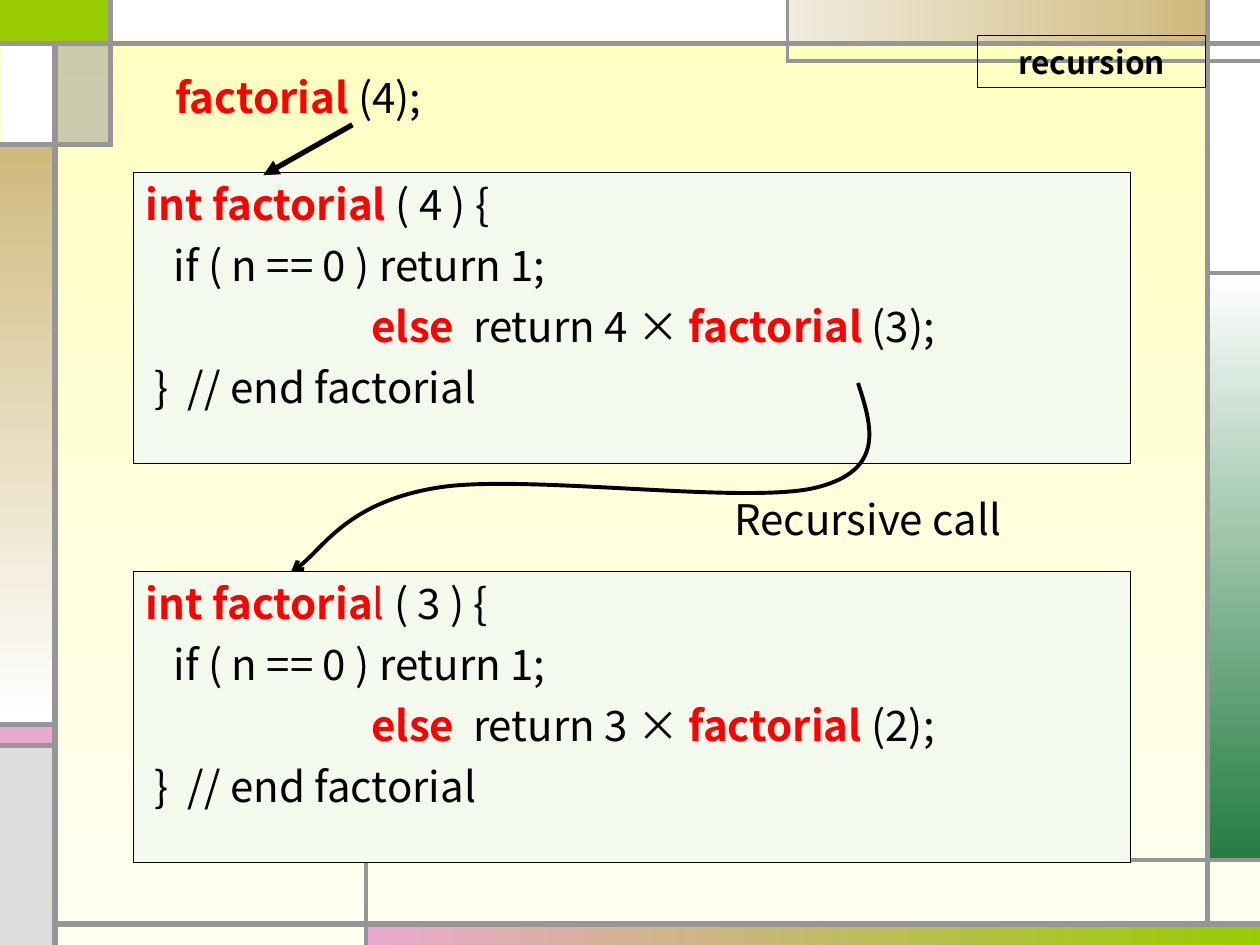
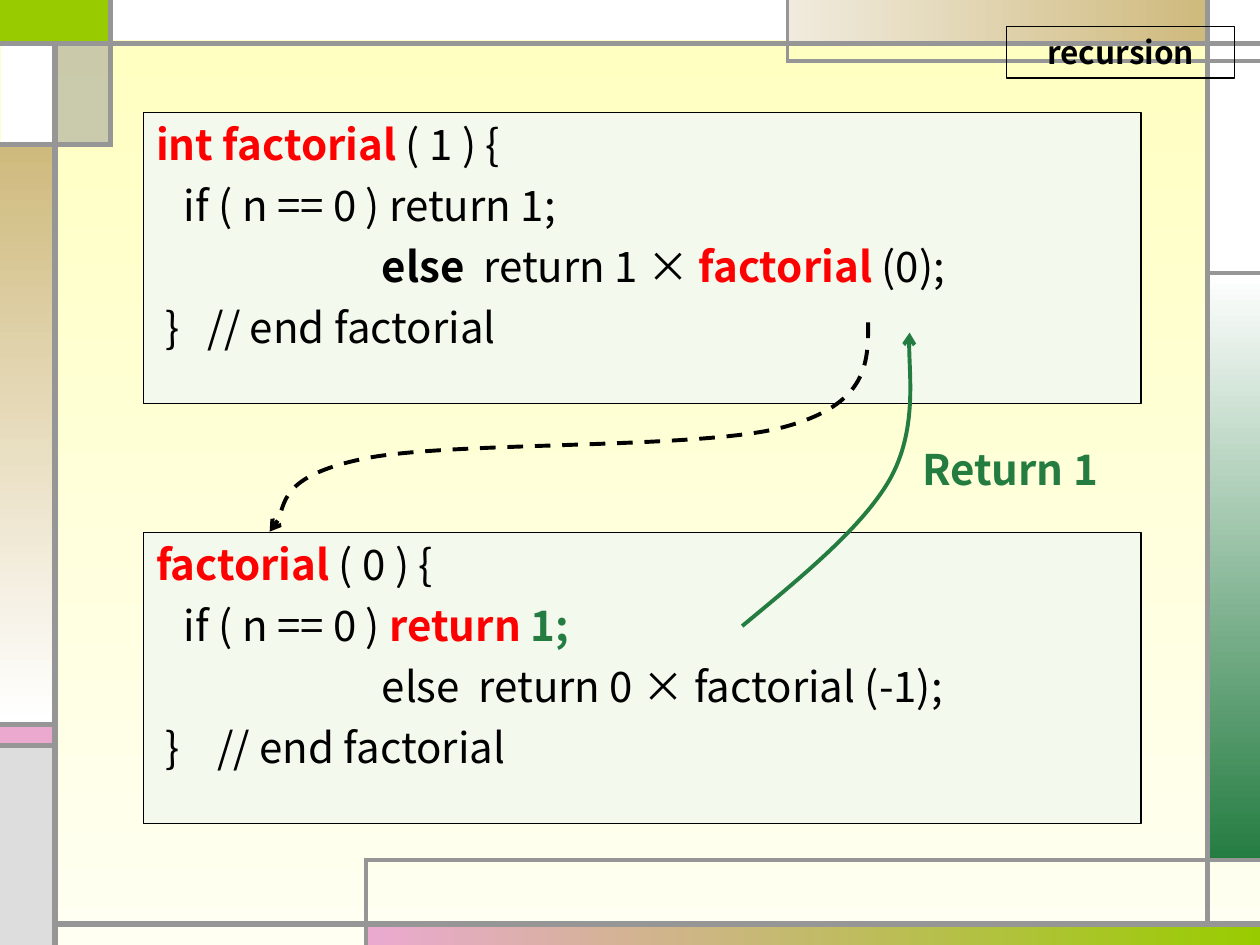
from pptx import Presentation
from pptx import util as u
from pptx.dml.color import RGBColor
from pptx.enum import dml, shapes, text
from pptx.oxml import parse_xml
from pptx.oxml.ns import nsdecls, qn

Pt = u.Pt
FONT = "Noto Sans CJK KR"
BLACK = RGBColor(0, 0, 0)
WHITE = RGBColor(255, 255, 255)
RED = RGBColor(255, 0, 0)
GREEN = RGBColor(0x24, 0x7C, 0x41)
LIME = RGBColor(0x99, 0xCC, 0)
PINK = RGBColor(0xEB, 0xA9, 0xD0)
TAN = RGBColor(0xCF, 0xBA, 0x7D)
PALE_TAN = RGBColor(0xF0, 0xEB, 0xDE)
SILVER = RGBColor(0xDD, 0xDD, 0xDD)
GREY = RGBColor(0x96, 0x96, 0x96)
CODE_FILL = RGBColor(0xF4, 0xF9, 0xEE)
PAGE = (RGBColor(0xFF, 0xFF, 0xBF), RGBColor(0xFF, 0xFF, 0xF2))

# Run styles: colour, bold
PLAIN, BOLD, KEY, NOTE = (BLACK, False), (BLACK, True), (RED, True), (GREEN, True)
THIN_KEY = (RED, False)

# Indents of the four code lines
INDENTS = (0, 16, 129, 5.3)
BOX_SIZE = (570, 166.3)
TAG_SIZE = (130.3, 29.5)

# Frame panels: left, top, width, height, fill (colour, or two colours and an angle)
PANELS = [
    (0, 0, 62.5, 24.5, LIME),
    (210, 528, 510, 12, (PINK, LIME, 0)),
    (690, 156, 30, 336, (WHITE, GREEN, 270)),
    (0, 414, 30, 12.5, PINK),
    (0, 427, 30, 113, SILVER),
    (690, 0, 30, 156, WHITE),
    (450, 0, 240, 24, (PALE_TAN, TAN, 0)),
    (33, 24, 30, 59, GREY),
    (0, 83, 30, 330, (TAN, WHITE, 270)),
    (0.5, 24, 30, 59, WHITE),
    (62, 0, 388, 23, WHITE),
]
TRANSLUCENT = 7  # index of the half-transparent panel

# Frame rules: x1, y1, x2, y2, width
RULES = [
    (31.5, 540, 31.5, 24, 3), (31.5, 528, 720, 528, 3),
    (690, 528, 690, 0, 3), (0, 25, 720, 25, 3),
    (720, 34.75, 450, 34.75, 2.25), (450, 36, 450, 0, 2.25),
    (690, 156, 720, 156, 2.25), (63.25, 0, 63.25, 84, 3),
    (62, 82.5, 0, 82.5, 3), (209, 540, 209, 491, 2.25),
    (208, 491.5, 720, 491.5, 2.25), (33, 414, 0, 414, 3),
    (33, 426, 0, 426, 3),
]

SLIDES = [
    {
        "tag": (558.6, 20.4),
        "boxes": [
            (76.2, 98.6, [
                [("int factorial", KEY), (" ( 4 ) {", PLAIN)],
                [("if ( n == 0 ) return 1;", PLAIN)],
                [("else  ", KEY), ("return 4 × ", PLAIN),
                 ("factorial", KEY), (" (3);", PLAIN)],
                [("}  // end factorial", PLAIN)]]),
            (76.2, 326.6, [
                [("int factoria", KEY), ("l", THIN_KEY), (" ( 3 ) {", PLAIN)],
                [("if ( n == 0 ) return 1;", PLAIN)],
                [("else", KEY), ("  return 3 × ", PLAIN),
                 ("factorial", KEY), (" (2);", PLAIN)],
                [("}  // end factorial", PLAIN)]]),
        ],
        "labels": [
            (412.6, 278.6, 216, 0, [("Recursive call", PLAIN)]),
            (87.8, 37.4, 414, 5.3, [("factorial", KEY), (" (4);", PLAIN)]),
        ],
        "curves": [
            (BLACK, False, [
                (490.3, 218.9), (498.2, 243.4), (506.2, 268.6), (466.6, 278.6),
                (426.2, 288.7), (300.2, 270.7), (250.6, 278.6),
                (200.2, 286.6), (180.7, 319), (166.3, 326.9)]),
        ],
        "arrows": [(201.4, 71.3, 150.5, 100.1)],
    },
    {
        "tag": (575.3, 15.1),
        "boxes": [
            (82.1, 64.1, [
                [("int factorial", KEY), (" ( 1 ) {", PLAIN)],
                [("if ( n == 0 ) return 1;", PLAIN)],
                [("else", BOLD), ("  return 1 × ", PLAIN),
                 ("factorial", KEY), (" (0);", PLAIN)],
                [("}   // end factorial", PLAIN)]]),
            (82.1, 304.1, [
                [("factorial", KEY), (" ( 0 ) {", PLAIN)],
                [("if ( n == 0 ) ", PLAIN), ("return ", KEY), ("1;", NOTE)],
                [("else  return 0 × factorial (-1);", PLAIN)],
                [("}    // end factorial", PLAIN)]]),
        ],
        "labels": [(519.8, 249.8, 126, 0, [("Return 1", NOTE)])],
        "curves": [
            (BLACK, True, [
                (496.1, 184.3), (496.1, 207.4), (496.1, 231.1), (447.8, 244.1),
                (400.3, 257), (257, 252), (208.1, 262.1),
                (159.1, 272.2), (163.4, 296.6), (154.1, 303.8)]),
            (GREEN, False, [
                (424.1, 357.8), (457.9, 329.8), (492.5, 301.7), (508.3, 274.3),
                (524.2, 246.2), (518.4, 203.8), (519.8, 190.1)]),
        ],
        "arrows": [],
    },
]


def set_format(target, values):
    for name, value in values.items():
        setattr(target, name, value)


def paint(fill, colour):
    if isinstance(colour, RGBColor):
        fill.solid()
        fill.fore_color.rgb = colour
        return
    *ends, angle = colour
    fill.gradient()
    fill.gradient_angle = angle
    for stop, end in zip(fill.gradient_stops, ends):
        stop.color.rgb = end


def draw_line(line, colour, width, head=None):
    line.color.rgb = colour
    line.width = Pt(width)
    if head:
        line._get_or_add_ln().append(
            parse_xml(f'<a:tailEnd {nsdecls("a")} type="{head}"/>'))


def add_connector(slide, x1, y1, x2, y2, colour, width, head=None):
    connector = slide.shapes.add_connector(
        shapes.MSO_CONNECTOR.STRAIGHT, Pt(x1), Pt(y1), Pt(x2), Pt(y2))
    draw_line(connector.line, colour, width, head)
    connector.element.spPr.append(parse_xml(f'<a:effectLst {nsdecls("a")}/>'))
    return connector


def add_rectangle(slide, left, top, width, height, colour):
    shape = slide.shapes.add_shape(
        shapes.MSO_SHAPE.RECTANGLE, Pt(left), Pt(top), Pt(width), Pt(height))
    shape.shadow.inherit = False
    paint(shape.fill, colour)
    shape.line.fill.background()
    return shape


def write(shape, lines, indents, size=24, align=text.PP_ALIGN.LEFT,
          anchor=text.MSO_ANCHOR.TOP):
    frame = shape.text_frame
    set_format(frame, {
        "word_wrap": True, "auto_size": text.MSO_AUTO_SIZE.NONE,
        "vertical_anchor": anchor,
        "margin_left": Pt(7.2), "margin_right": Pt(7.2),
        "margin_top": Pt(3.6), "margin_bottom": Pt(3.6)})
    for index, (runs, indent) in enumerate(zip(lines, indents)):
        paragraph = frame.paragraphs[0] if index == 0 else frame.add_paragraph()
        set_format(paragraph, {"alignment": align,
                               "space_before": Pt(6 if index else 0)})
        properties = paragraph._p.get_or_add_pPr()
        properties.set("marL", str(Pt(indent)))
        properties.set("indent", "0")
        for words, (colour, bold) in runs:
            run = paragraph.add_run()
            run.text = words
            set_format(run.font, {"name": FONT, "size": Pt(size), "bold": bold})
            run.font.color.rgb = colour
            east_asian = parse_xml(f'<a:ea {nsdecls("a")} typeface="{FONT}"/>')
            run.font._element.find(qn("a:latin")).addnext(east_asian)


def add_curve(slide, colour, dashed, points):
    """Every three points after the first are one Bezier segment."""
    points = [(Pt(x), Pt(y)) for x, y in points]
    builder = slide.shapes.build_freeform(*points[0])
    builder.add_line_segments(points[1:], close=False)
    curve = builder.convert_to_shape()
    steps = list(curve.element.iter(qn("a:lnTo")))
    for start in range(0, len(steps), 3):
        bezier = parse_xml(f'<a:cubicBezTo {nsdecls("a")}/>')
        steps[start].addprevious(bezier)
        for step in steps[start:start + 3]:
            bezier.append(step[0])
            step.getparent().remove(step)
    curve.shadow.inherit = False
    curve.fill.background()
    if dashed:
        curve.line.dash_style = dml.MSO_LINE.DASH
    draw_line(curve.line, colour, 2.25, "arrow")


def build_frame(layout, slide):
    """Draw the frame on a slide, then move it to the shared layout."""
    paint(layout.background.fill, (*PAGE, 270))
    for placeholder in list(layout.placeholders)[1:]:
        layout.shapes.element.remove(placeholder.element)
    parts = [add_rectangle(slide, *panel) for panel in PANELS]
    colour = parts[TRANSLUCENT].element.spPr.find(".//" + qn("a:srgbClr"))
    colour.append(parse_xml(f'<a:alpha {nsdecls("a")} val="50000"/>'))
    parts += [add_connector(slide, *ends, GREY, width) for *ends, width in RULES]
    for part in parts:
        layout.shapes.element.append(part.element)


presentation = Presentation()
set_format(presentation, {"slide_width": Pt(720), "slide_height": Pt(540)})
layout = presentation.slide_layouts[5]

for number, content in enumerate(SLIDES):
    slide = presentation.slides.add_slide(layout)
    if number == 0:
        build_frame(layout, slide)

    # Corner tag
    tag = slide.shapes.title
    places = (*content["tag"], *TAG_SIZE)
    set_format(tag, dict(zip(("left", "top", "width", "height"), map(Pt, places))))
    draw_line(tag.line, BLACK, 0.75)
    write(tag, [[("recursion", BOLD)]], [0], 18, text.PP_ALIGN.CENTER,
          text.MSO_ANCHOR.MIDDLE)

    # Code boxes
    for left, top, lines in content["boxes"]:
        box = add_rectangle(slide, left, top, *BOX_SIZE, CODE_FILL)
        draw_line(box.line, BLACK, 0.75)
        write(box, lines, INDENTS)

    # Calls, returns and their labels
    for curve in content["curves"]:
        add_curve(slide, *curve)
    for left, top, width, indent, runs in content["labels"]:
        label = slide.shapes.add_textbox(Pt(left), Pt(top), Pt(width), Pt(36))
        write(label, [runs], [indent])
    for ends in content["arrows"]:
        add_connector(slide, *ends, BLACK, 3, "triangle")

presentation.save("out.pptx")
